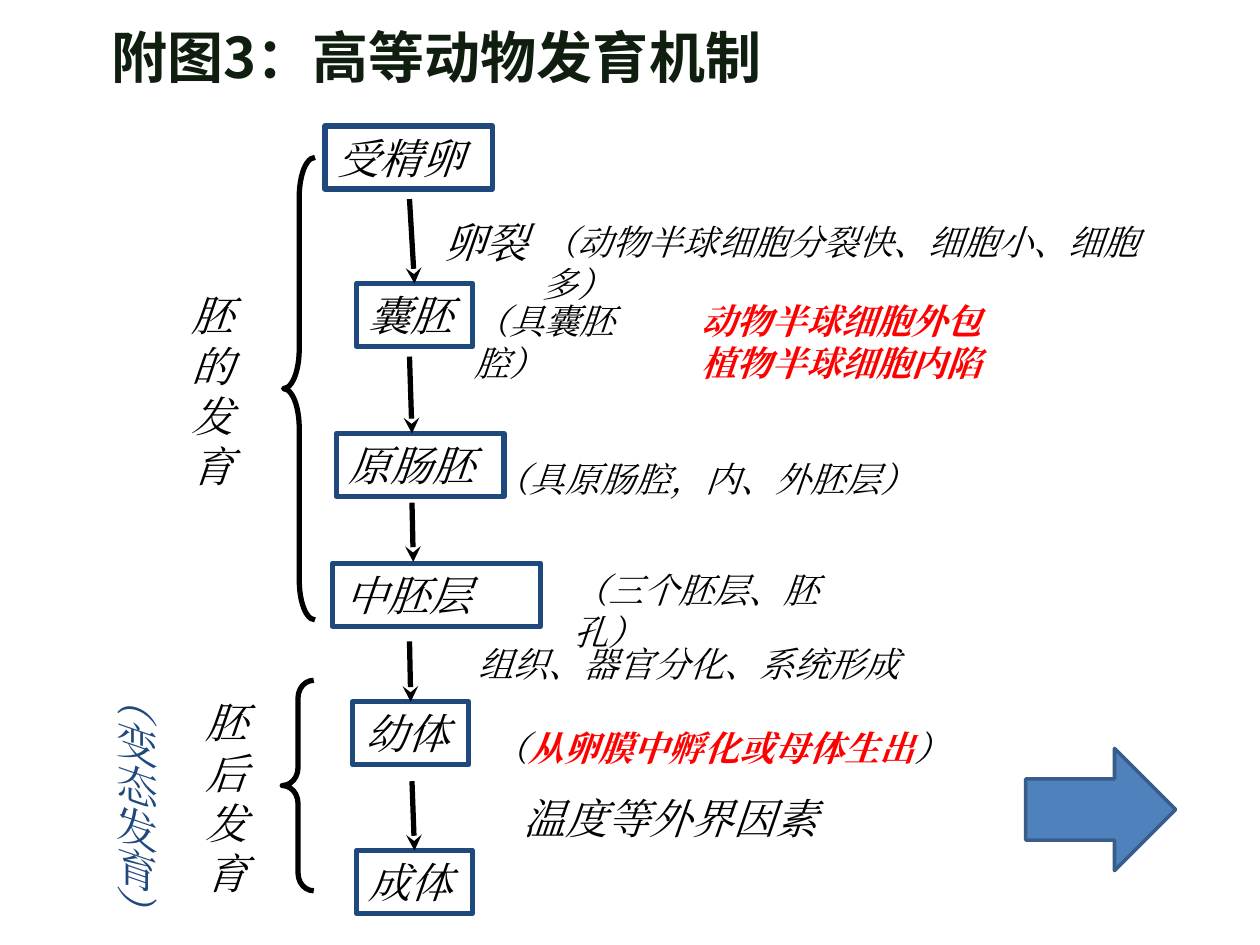
"""Build a slide charting the stages of embryo development in higher animals."""
from lxml.etree import SubElement
from pptx import Presentation
from pptx.dml.color import RGBColor
from pptx.enum.shapes import MSO_CONNECTOR, MSO_SHAPE
from pptx.enum.text import MSO_ANCHOR, MSO_AUTO_SIZE, PP_ALIGN
from pptx.oxml.ns import qn
from pptx.util import Inches, Pt

THEME = {
    "ink": "000000", "title": "0F1E0E", "accent": "1F497D", "alert": "FF0000",
    "arrow_fill": "4F81BD", "arrow_line": "385D8A",
    "title_font": "Noto Sans CJK SC", "body_font": "Times New Roman",
    "title_size": 32, "large": 24, "small": 20, "stroke": 3, "thin_stroke": 2,
}

TITLE = ("附图3：高等动物发育机制", (0.21, 0.13, 6.51, 0.63))

STAGE_HEIGHT = 0.5
STAGES = [
    ("受精卵", 2.58, 1.0, 1.33),
    ("囊胚", 2.83, 2.25, 0.92),
    ("原肠胚", 2.67, 3.44, 1.33),
    ("中胚层", 2.64, 4.47, 1.65),
    ("幼体", 2.8, 5.57, 0.92),
    ("成体", 2.83, 6.75, 0.92),
]

STEPS = [
    (3.25, 1.58, 3.25, 2.25),
    (3.25, 2.83, 3.27, 3.44),
    (3.27, 3.99, 3.28, 4.46),
    (3.25, 5.09, 3.27, 5.56),
    (3.27, 6.2, 3.25, 6.74),
]
JOIN_TOLERANCE = 0.05

LABELS = [
    ("卵裂", (3.42, 1.67, 1.0, 0.5), {}),
    ("（动物半球细胞分裂快、细胞小、细胞多）", (4.21, 1.7, 5.33, 0.77), {"size": "small"}),
    ("（具囊胚腔）", (3.67, 2.33, 1.83, 0.77), {"size": "small"}),
    ("动物半球细胞外包植物半球细胞内陷", (5.47, 2.33, 2.67, 0.77),
     {"size": "small", "color": "alert", "bold": True}),
    ("（具原肠腔，内、外胚层）", (3.83, 3.58, 4.17, 0.44), {"size": "small"}),
    ("（三个胚层、胚孔）", (4.45, 4.46, 2.6, 0.77), {"size": "small"}),
    ("组织、器官分化、系统形成", (3.66, 5.05, 3.62, 0.44),
     {"size": "small", "align": PP_ALIGN.CENTER}),
    ([("（", {}), ("从卵膜中孵化或母体生出", {"color": "alert", "bold": True}), ("）", {})],
     (3.82, 5.72, 3.83, 0.44), {"size": "small"}),
    ("温度等外界因素", (4.06, 6.24, 2.75, 0.5), {}),
    ("胚的发育", (1.42, 2.25, 0.5, 1.7), {}),
    ("胚后发育", (1.53, 5.48, 0.5, 1.7), {}),
    ("（变态发育）", (0.83, 5.25, 0.6, 2.25),
     {"color": "accent", "align": PP_ALIGN.CENTER, "vertical": True}),
]

BRACES = [((2.25, 1.25, 0.25, 3.67), 1.25), ((2.24, 5.4, 0.25, 1.67), 0.56)]
NEXT_ARROW = (8.14, 5.94, 1.19, 0.97)


def color_of(name):
    """Return the theme colour with this name."""
    return RGBColor.from_string(THEME[name])


def write(shape, text, *, size="large", color="ink", bold=False, italic=True,
          font="body_font", align=PP_ALIGN.LEFT, anchor=MSO_ANCHOR.TOP,
          vertical=False, grow=True):
    """Fill a shape with text, given as a string or as (string, format) spans."""
    frame = shape.text_frame
    frame.word_wrap = True
    frame.vertical_anchor = anchor
    frame.auto_size = MSO_AUTO_SIZE.SHAPE_TO_FIT_TEXT if grow else MSO_AUTO_SIZE.NONE
    across, down = (0.05, 0.1) if vertical else (0.1, 0.05)
    frame.margin_left = frame.margin_right = Inches(across)
    frame.margin_top = frame.margin_bottom = Inches(down)
    if vertical:
        frame._txBody.bodyPr.set("vert", "eaVert")
    para = frame.paragraphs[0]
    para.alignment = align
    for words, changes in [(text, {})] if isinstance(text, str) else text:
        span = para.add_run()
        span.text = words
        span.font.size = Pt(THEME[size])
        span.font.bold = changes.get("bold", bold)
        span.font.italic = italic
        span.font.color.rgb = color_of(changes.get("color", color))
        span.font.name = THEME[font]
        SubElement(span.font._element, qn("a:ea"), typeface=THEME[font])


def add_label(page, text, place, **style):
    """Add a text box."""
    write(page.shapes.add_textbox(*map(Inches, place)), text, **style)


def add_outline(page, kind, place, line, stroke="stroke", fill=None):
    """Add a preset shape with a set line and an optional fill."""
    shape = page.shapes.add_shape(kind, *map(Inches, place))
    shape.shadow.inherit = False
    if fill:
        shape.fill.solid()
        shape.fill.fore_color.rgb = color_of(fill)
    else:
        shape.fill.background()
    shape.line.color.rgb = color_of(line)
    shape.line.width = Pt(THEME[stroke])
    return shape


def add_step(page, ends, target):
    """Add an arrow, joined to the target when it ends at its top middle."""
    step = page.shapes.add_connector(MSO_CONNECTOR.STRAIGHT, *map(Inches, ends))
    middle = target.left + target.width / 2
    if abs(middle - Inches(ends[2])) <= Inches(JOIN_TOLERANCE):
        step.end_connect(target, 0)
    step.line.color.rgb = color_of("ink")
    step.line.width = Pt(THEME["stroke"])
    SubElement(step.line._get_or_add_ln(), qn("a:tailEnd"), type="stealth")
    SubElement(step._element.spPr, qn("a:effectLst"))


def main():
    """Build and save the deck."""
    deck = Presentation()
    deck.slide_width, deck.slide_height = Inches(10), Inches(7.5)
    page = deck.slides.add_slide(deck.slide_layouts[6])

    add_label(page, *TITLE, size="title_size", color="title", bold=True, italic=False,
              font="title_font", align=PP_ALIGN.CENTER, anchor=MSO_ANCHOR.MIDDLE, grow=False)

    boxes = []
    for name, left, top, width in STAGES:
        box = add_outline(page, MSO_SHAPE.RECTANGLE, (left, top, width, STAGE_HEIGHT), "accent")
        write(box, name)
        boxes.append(box)
    for ends, target in zip(STEPS, boxes[1:]):
        add_step(page, ends, target)

    for text, place, style in LABELS:
        add_label(page, text, place, **style)
    for place, curve in BRACES:
        brace = add_outline(page, MSO_SHAPE.LEFT_BRACE, place, "ink")
        brace.adjustments[0] = curve
    add_outline(page, MSO_SHAPE.RIGHT_ARROW, NEXT_ARROW, "arrow_line", "thin_stroke", "arrow_fill")

    deck.save("out.pptx")


if __name__ == "__main__":
    main()
